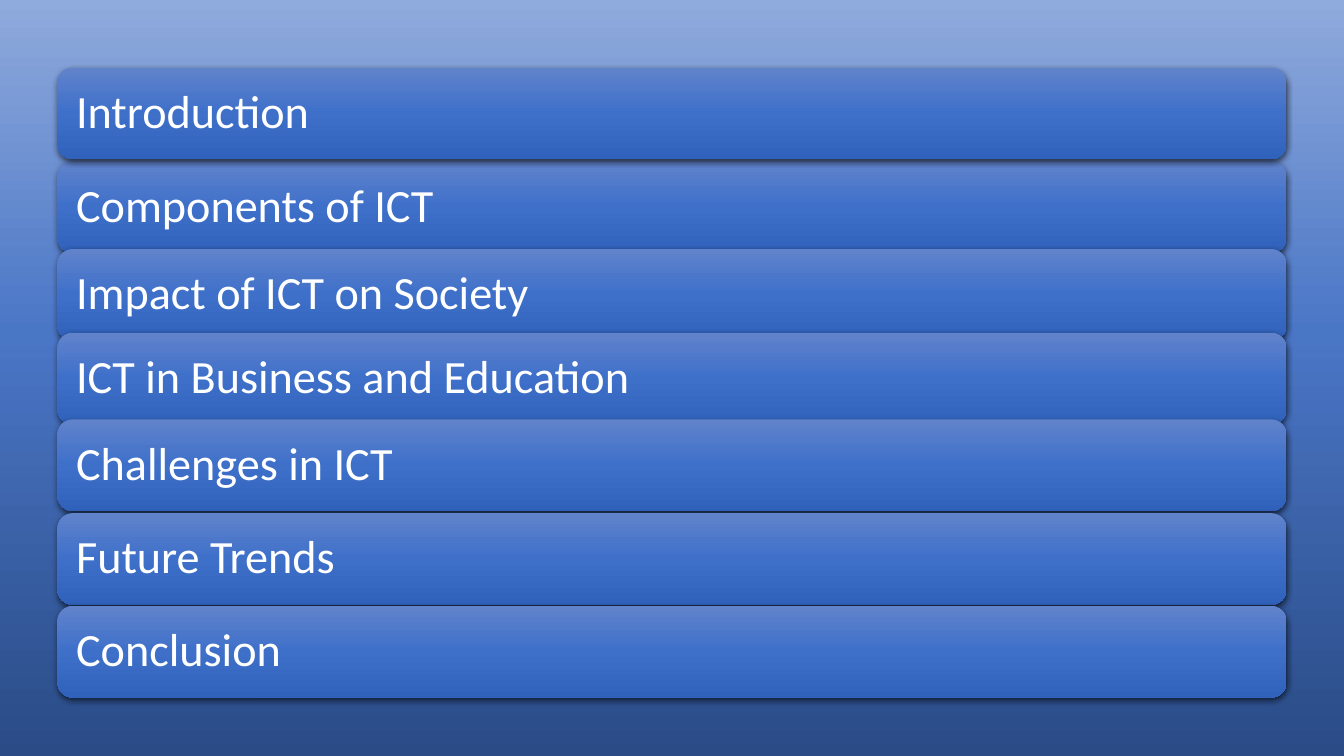
from lxml import etree
from pptx import Presentation
from pptx.dml.color import RGBColor
from pptx.enum.shapes import MSO_SHAPE
from pptx.enum.text import MSO_ANCHOR, PP_ALIGN
from pptx.oxml.ns import qn
from pptx.util import Inches, Pt

ROUNDED = MSO_SHAPE.ROUNDED_RECTANGLE
MIDDLE = MSO_ANCHOR.MIDDLE
LEFT = PP_ALIGN.LEFT
BLANK_LAYOUT = 6

COLORS = {
    "night": "2A4B86", "blue": "4A76C6", "sky": "8FAADC",
    "bar_top": "6183CB", "bar_middle": "3E70CA", "bar_bottom": "3062BB",
    "text": "FFFFFF", "shadow": "000000",
}

# Stops are (position %, colour, opacity %)
BACKGROUND_STOPS = [(0, "night", 100), (56, "blue", 84), (100, "sky", 100)]
BAR_STOPS = [(0, "bar_top", 100), (50, "bar_middle", 100), (100, "bar_bottom", 100)]

# Topics from back to front, each with the top of its bar
TOPICS = [
    ("Components of ICT", 1.6),
    ("Impact of ICT on Society", 2.47),
    ("ICT in Business and Education", 3.3),
    ("Challenges in ICT", 4.16),
    ("Future Trends", 5.09),
    ("Introduction", 0.67),
    ("Conclusion", 6.01),
]


class AgendaSlide:
    """Holds the style and the current slide."""

    font_name = "Calibri"
    font_size = Pt(33)
    bar_left, bar_width, bar_height = Inches(0.57), Inches(12.19), Inches(0.91)
    inset = Inches(0.14)

    def __init__(self, presentation):
        self.slide = presentation.slides.add_slide(presentation.slide_layouts[BLANK_LAYOUT])

    def add_color(self, parent, color, opacity):
        element = etree.SubElement(parent, qn("a:srgbClr"), val=COLORS[color])
        if opacity < 100:
            etree.SubElement(element, qn("a:alpha"), val=str(opacity * 1000))

    def set_gradient(self, fill, owner, stops, angle):
        fill.gradient()
        fill.gradient_angle = angle
        stop_list = owner.find(".//" + qn("a:gsLst"))
        for old_stop in list(stop_list):
            stop_list.remove(old_stop)
        for position, color, opacity in stops:
            stop = etree.SubElement(stop_list, qn("a:gs"), pos=str(position * 1000))
            self.add_color(stop, color, opacity)

    def set_background(self, stops):
        self.set_gradient(self.slide.background.fill, self.slide.element, stops, 90)

    def add_shadow(self, shape):
        shape.shadow.inherit = False
        effects = shape.element.spPr.find(qn("a:effectLst"))
        shadow = etree.SubElement(
            effects, qn("a:outerShdw"), blurRad=str(Pt(4.5)), dist=str(Pt(1.5)),
            dir="5400000", algn="ctr", rotWithShape="0")
        self.add_color(shadow, "shadow", 63)

    def add_bar(self, text, top):
        shape = self.slide.shapes.add_shape(
            ROUNDED, self.bar_left, Inches(top), self.bar_width, self.bar_height)
        self.set_gradient(shape.fill, shape.element, BAR_STOPS, 270)
        shape.line.fill.background()
        self.add_shadow(shape)
        # Label inside the bar
        frame = shape.text_frame
        frame.word_wrap = True
        frame.vertical_anchor = MIDDLE
        frame.margin_left = frame.margin_right = self.inset
        frame.margin_top = frame.margin_bottom = self.inset
        paragraph = frame.paragraphs[0]
        paragraph.text = text
        paragraph.alignment = LEFT
        paragraph.line_spacing = 0.9
        paragraph.font.name = self.font_name
        paragraph.font.size = self.font_size
        paragraph.font.color.rgb = RGBColor.from_string(COLORS["text"])


def main():
    presentation = Presentation()
    presentation.slide_width = Inches(13.33)
    presentation.slide_height = Inches(7.5)

    agenda = AgendaSlide(presentation)
    agenda.set_background(BACKGROUND_STOPS)
    for text, top in TOPICS:
        agenda.add_bar(text, top)

    presentation.save("out.pptx")


if __name__ == "__main__":
    main()
